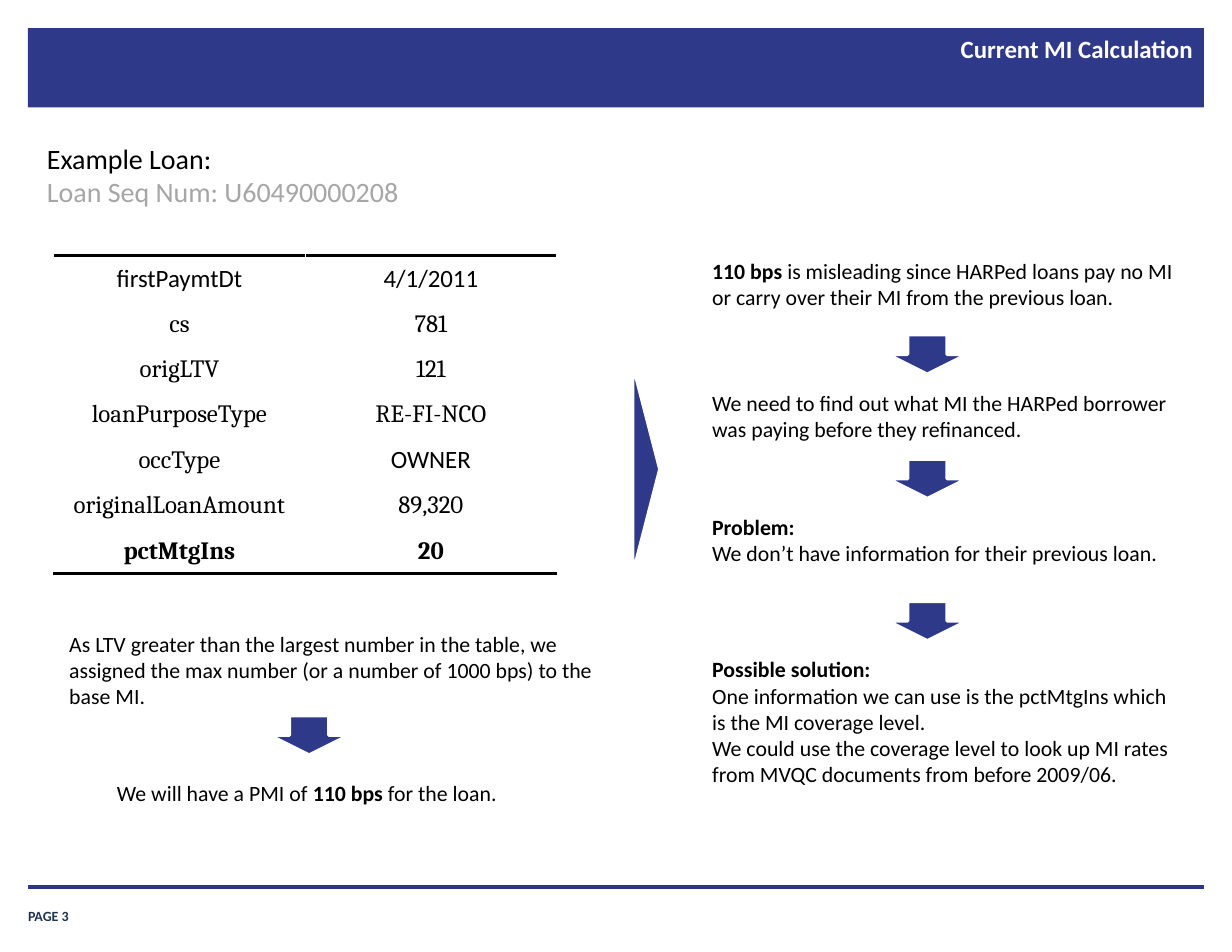
from dataclasses import dataclass

from lxml import etree
from pptx import Presentation
from pptx import util as u
from pptx.dml.color import RGBColor
from pptx.enum import shapes, text
from pptx.oxml import ns


@dataclass(frozen=True)
class Theme:
    navy: str = "2E398A"
    rule: str = "2B3689"
    page: str = "203353"
    black: str = "000000"
    grey: str = "A6A6A6"
    white: str = "FFFFFF"
    sans: str = "Calibri"
    serif: str = "Cambria"
    heading: int = 18
    title: int = 16
    body: int = 14
    footer: int = 9


THEME = Theme()
WIDTH, HEIGHT, MARGIN = 11, 8.5, 0.25
ARROW_WIDTH, ARROW_HEIGHT = 0.7, 0.35
LEFT_ARROW_X, RIGHT_ARROW_X = 2.41, 7.93
RIGHT_X, RIGHT_WIDTH = 6.26, 4.42

TITLE = "Current MI Calculation"
PAGE = "PAGE 3"
EXAMPLE = [("Example Loan:", THEME.black), ("Loan Seq Num: U60490000208", THEME.grey)]
LOAN_FIELDS = [
    ("firstPaymtDt", "4/1/2011"),
    ("cs", "781"),
    ("origLTV", "121"),
    ("loanPurposeType", "RE-FI-NCO"),
    ("occType", "OWNER"),
    ("originalLoanAmount", "89,320"),
    ("pctMtgIns", "20"),
]
SANS_CELLS = {"firstPaymtDt", "4/1/2011", "OWNER"}

# A note is a list of paragraphs; a paragraph is a list of (text, bold) runs.
LTV_NOTE = [[("As LTV greater than the largest number in the table, we assigned the max "
              "number (or a number of 1000 bps) to the base MI.", False)]]
PMI_NOTE = [[("We will have a PMI of ", False), ("110 bps ", True), ("for the loan.", False)]]
# (top, height, note) of each step; an arrow leads into every step but the first
STEPS = [
    (2.25, 0.57, [[("110 bps ", True),
                   ("is misleading since HARPed loans pay no MI or carry over their MI "
                    "from the previous loan.", False)]]),
    (3.43, 0.57, [[("We need to find out what MI the HARPed borrower was paying before "
                    "they refinanced.", False)]]),
    (4.54, 0.57, [[("Problem:", True)],
                  [("We don’t have information for their previous loan.", False)]]),
    (5.81, 1.28, [[("Possible solution:", True)],
                  [("One information we can use is the pctMtgIns which is the MI "
                    "coverage level.", False)],
                  [("We could use the coverage level to look up MI rates from MVQC "
                    "documents from before 2009/06.", False)]]),
]


def inches(*values):
    return [u.Inches(value) for value in values]


def color(value):
    return RGBColor.from_string(value)


def add_run(paragraph, words, size, fill=THEME.black, bold=False, font=THEME.sans):
    run = paragraph.add_run()
    run.text = words
    run.font.name, run.font.size, run.font.bold = font, u.Pt(size), bold
    run.font.color.rgb = color(fill)


def set_margins(target, left, top, right, bottom):
    (target.margin_left, target.margin_top,
     target.margin_right, target.margin_bottom) = inches(left, top, right, bottom)


def add_text_box(slide, place, align=text.PP_ALIGN.LEFT, count=1):
    """Return the frame of a wrapping text box with count aligned paragraphs."""
    frame = slide.shapes.add_textbox(*inches(*place)).text_frame
    frame.word_wrap = True
    for _ in range(count - 1):
        frame.add_paragraph()
    for paragraph in frame.paragraphs:
        paragraph.alignment = align
    return frame


def add_note(slide, place, note, align=text.PP_ALIGN.LEFT):
    frame = add_text_box(slide, place, align, len(note))
    for paragraph, runs in zip(frame.paragraphs, note):
        for words, bold in runs:
            add_run(paragraph, words, THEME.body, bold=bold)


def add_solid(slide, kind, place, outlined=True):
    shape = slide.shapes.add_shape(kind, *inches(*place))
    shape.shadow.inherit = False
    shape.fill.solid()
    shape.fill.fore_color.rgb = color(THEME.navy)
    if outlined:
        shape.line.color.rgb = color(THEME.white)
        shape.line.width = u.Pt(2)
    else:
        shape.line.fill.background()
    return shape


def add_down_arrow(slide, left, top):
    add_solid(slide, shapes.MSO_SHAPE.DOWN_ARROW, (left, top, ARROW_WIDTH, ARROW_HEIGHT))


def add_cell_border(cell, side):
    """Draw a black 2 pt line on side "lnT" or "lnB"."""
    line = etree.Element(ns.qn("a:" + side), w=str(u.Pt(2)))
    fill = etree.SubElement(line, ns.qn("a:solidFill"))
    etree.SubElement(fill, ns.qn("a:srgbClr"), val=THEME.black)
    cell._tc.get_or_add_tcPr().insert(0, line)


def add_loan_table(slide):
    last = len(LOAN_FIELDS) - 1
    table = slide.shapes.add_table(len(LOAN_FIELDS), 2, *inches(0.48, 2.28, 4.49, 2.84)).table
    table.first_row = table.horz_banding = False
    for row, fields in enumerate(LOAN_FIELDS):
        for column, words in enumerate(fields):
            cell = table.cell(row, column)
            cell.fill.solid()
            cell.fill.fore_color.rgb = color(THEME.white)
            cell.vertical_anchor = text.MSO_ANCHOR.MIDDLE
            set_margins(cell, 0.01, 0.01, 0.01, 0)
            paragraph = cell.text_frame.paragraphs[0]
            paragraph.alignment = text.PP_ALIGN.CENTER
            font = THEME.sans if words in SANS_CELLS else THEME.serif
            add_run(paragraph, words, THEME.title, bold=row == last, font=font)
            if row == 0:
                add_cell_border(cell, "lnT")
            elif row == last:
                add_cell_border(cell, "lnB")


def add_frame(slide):
    """Add the title band, the footer rule and the page number."""
    inner_width = WIDTH - 2 * MARGIN
    band = add_solid(slide, shapes.MSO_SHAPE.RECTANGLE, (MARGIN, MARGIN, inner_width, 0.71),
                     outlined=False)
    title = slide.shapes.title
    title._element.addprevious(band._element)
    title.left, title.top, title.width, title.height = inches(3.32, 0.24, 7.44, 0.74)
    frame = title.text_frame
    frame.auto_size = text.MSO_AUTO_SIZE.NONE
    frame.vertical_anchor = text.MSO_ANCHOR.TOP
    set_margins(frame, 0.11, 0.06, 0.11, 0.06)
    frame.paragraphs[0].alignment = text.PP_ALIGN.RIGHT
    add_run(frame.paragraphs[0], TITLE, THEME.title, THEME.white, True)

    rule = slide.shapes.add_connector(shapes.MSO_CONNECTOR.STRAIGHT,
                                      *inches(MARGIN, 7.92, WIDTH - MARGIN, 7.92))
    rule.line.color.rgb = color(THEME.rule)
    rule.line.width = u.Pt(2)
    etree.SubElement(rule._element.spPr, ns.qn("a:effectLst"))

    footer = add_text_box(slide, (MARGIN, 8.02, 0.91, 0.23))
    footer.vertical_anchor = text.MSO_ANCHOR.BOTTOM
    set_margins(footer, 0, 0, 0, 0)
    add_run(footer.paragraphs[0], PAGE, THEME.footer, THEME.page, True)


def main():
    presentation = Presentation()
    presentation.slide_width, presentation.slide_height = inches(WIDTH, HEIGHT)
    slide = presentation.slides.add_slide(presentation.slide_layouts[5])
    add_frame(slide)

    example = add_text_box(slide, (0.32, 1.21, 4.92, 0.71), count=len(EXAMPLE))
    for paragraph, (words, fill) in zip(example.paragraphs, EXAMPLE):
        add_run(paragraph, words, THEME.heading, fill)
    add_loan_table(slide)
    add_note(slide, (0.52, 5.58, 5.16, 0.81), LTV_NOTE)
    add_down_arrow(slide, LEFT_ARROW_X, 6.39)
    add_note(slide, (0.61, 6.91, 4.26, 0.34), PMI_NOTE, text.PP_ALIGN.CENTER)

    pointer = add_solid(slide, shapes.MSO_SHAPE.ISOSCELES_TRIANGLE, (4.84, 4.07, 1.86, 0.24))
    pointer.rotation = 90
    for index, (top, height, note) in enumerate(STEPS):
        add_note(slide, (RIGHT_X, top, RIGHT_WIDTH, height), note)
        if index:
            add_down_arrow(slide, RIGHT_ARROW_X, top - 0.44)
    presentation.save("out.pptx")


if __name__ == "__main__":
    main()
